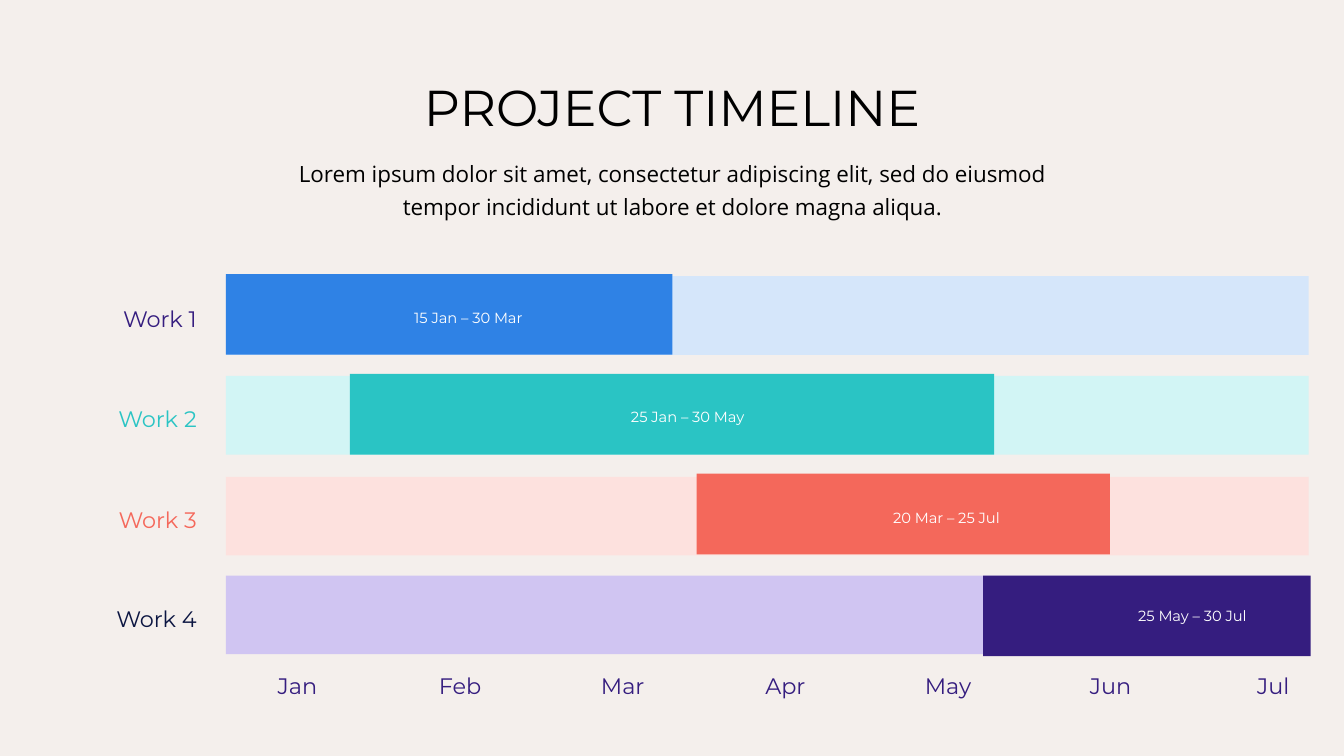
import pptx
import pptx.util
import pptx.dml.color
import pptx.enum.shapes
import pptx.enum.text
from pptx.util import Inches

ALIGN = pptx.enum.text.PP_ALIGN
PURPLE = "351D7F"
MONTHS = ["Jan", "Feb", "Mar", "Apr", "May", "Jun", "Jul"]
TRACK_LEFT, TRACK_WIDTH, TRACK_HEIGHT, BAR_HEIGHT = 2.24, 10.74, 0.78, 0.8

# name, name colour, track colour, bar colour, track top,
# bar left, bar top, bar width, dates, dates left, dates top
WORKS = [
    ("Work 1", PURPLE, "D5E6FA", "2F82E5", 2.74,
     2.24, 2.72, 4.43, "15 Jan – 30 Mar", 4.01, 2.98),
    ("Work 2", "2AC4C4", "D2F5F5", "2AC4C4", 3.73,
     3.47, 3.71, 6.39, "25 Jan – 30 May", 6.16, 3.96),
    ("Work 3", "F4685B", "FDE1DE", "F4685B", 4.73,
     6.91, 4.7, 4.1, "20 Mar – 25 Jul", 8.76, 4.96),
    ("Work 4", "0B1541", "D0C5F2", PURPLE, 5.71,
     9.75, 5.71, 3.25, "25 May – 30 Jul", 11.19, 5.94),
]


def rgb(value):
    return pptx.dml.color.RGBColor.from_string(value)


def write(frame, text, size, colour, align, font="Montserrat", spacing=None):
    """Fill a text frame with one formatted paragraph."""
    frame_format = {
        "word_wrap": True,
        "auto_size": pptx.enum.text.MSO_AUTO_SIZE.SHAPE_TO_FIT_TEXT,
        "vertical_anchor": pptx.enum.text.MSO_ANCHOR.TOP,
        "margin_left": Inches(0.1), "margin_right": Inches(0.1),
        "margin_top": Inches(0.05), "margin_bottom": Inches(0.05),
    }
    for name, value in frame_format.items():
        setattr(frame, name, value)
    paragraph = frame.paragraphs[0]
    paragraph.alignment = align
    paragraph.line_spacing = spacing
    run = paragraph.add_run()
    run.text = text
    font_format = {"size": pptx.util.Pt(size), "name": font, "bold": False}
    for name, value in font_format.items():
        setattr(run.font, name, value)
    run.font.color.rgb = rgb(colour)


def add_label(shapes, bounds, *args, **kwargs):
    label = shapes.add_textbox(*map(Inches, bounds))
    write(label.text_frame, *args, **kwargs)


def add_bar(shapes, bounds, colour):
    bar = shapes.add_shape(pptx.enum.shapes.MSO_SHAPE.RECTANGLE,
                           *map(Inches, bounds))
    bar.shadow.inherit = False
    bar.fill.solid()
    bar.fill.fore_color.rgb = rgb(colour)
    bar.line.fill.background()


def add_title(slide, text):
    title = slide.shapes.title
    place = {"left": 3.82, "top": 0.7, "width": 5.69, "height": 0.71}
    for name, value in place.items():
        setattr(title, name, Inches(value))
    write(title.text_frame, text, 36, "000000", ALIGN.CENTER, spacing=1.0)


def add_work(slide, work):
    """Add one timeline row as a group."""
    (name, name_colour, track_colour, bar_colour, top,
     bar_left, bar_top, bar_width, dates, dates_left, dates_top) = work
    row = slide.shapes.add_group_shape().shapes
    add_bar(row, (TRACK_LEFT, top, TRACK_WIDTH, TRACK_HEIGHT), track_colour)
    add_label(row, (0.74, top + 0.24, 1.31, 0.37), name, 16, name_colour,
              ALIGN.RIGHT)
    add_bar(row, (bar_left, bar_top, bar_width, BAR_HEIGHT), bar_colour)
    add_label(row, (dates_left, dates_top, 1.51, 0.3), dates, 10.5, "FFFFFF",
              ALIGN.LEFT, spacing=1.2)


def main():
    deck = pptx.Presentation()
    deck.slide_width, deck.slide_height = Inches(13.33), Inches(7.5)
    slide = deck.slides.add_slide(deck.slide_layouts.get_by_name("Title Only"))
    slide.background.fill.solid()
    slide.background.fill.fore_color.rgb = rgb("F4EFEC")

    add_title(slide, "PROJECT TIMELINE")
    for index, month in enumerate(MONTHS):
        add_label(slide.shapes, (2.59 + 1.613 * index, 6.62, 0.72, 0.37),
                  month, 16, PURPLE, ALIGN.CENTER)
    for work in WORKS:
        add_work(slide, work)
    add_label(slide.shapes, (2.71, 1.49, 7.92, 0.72),
              "Lorem ipsum dolor sit amet, consectetur adipiscing elit, sed do "
              "eiusmod tempor incididunt ut labore et dolore magna aliqua.",
              16, "000000", ALIGN.CENTER, font="Open Sans", spacing=1.2)
    deck.save("out.pptx")


if __name__ == "__main__":
    main()
